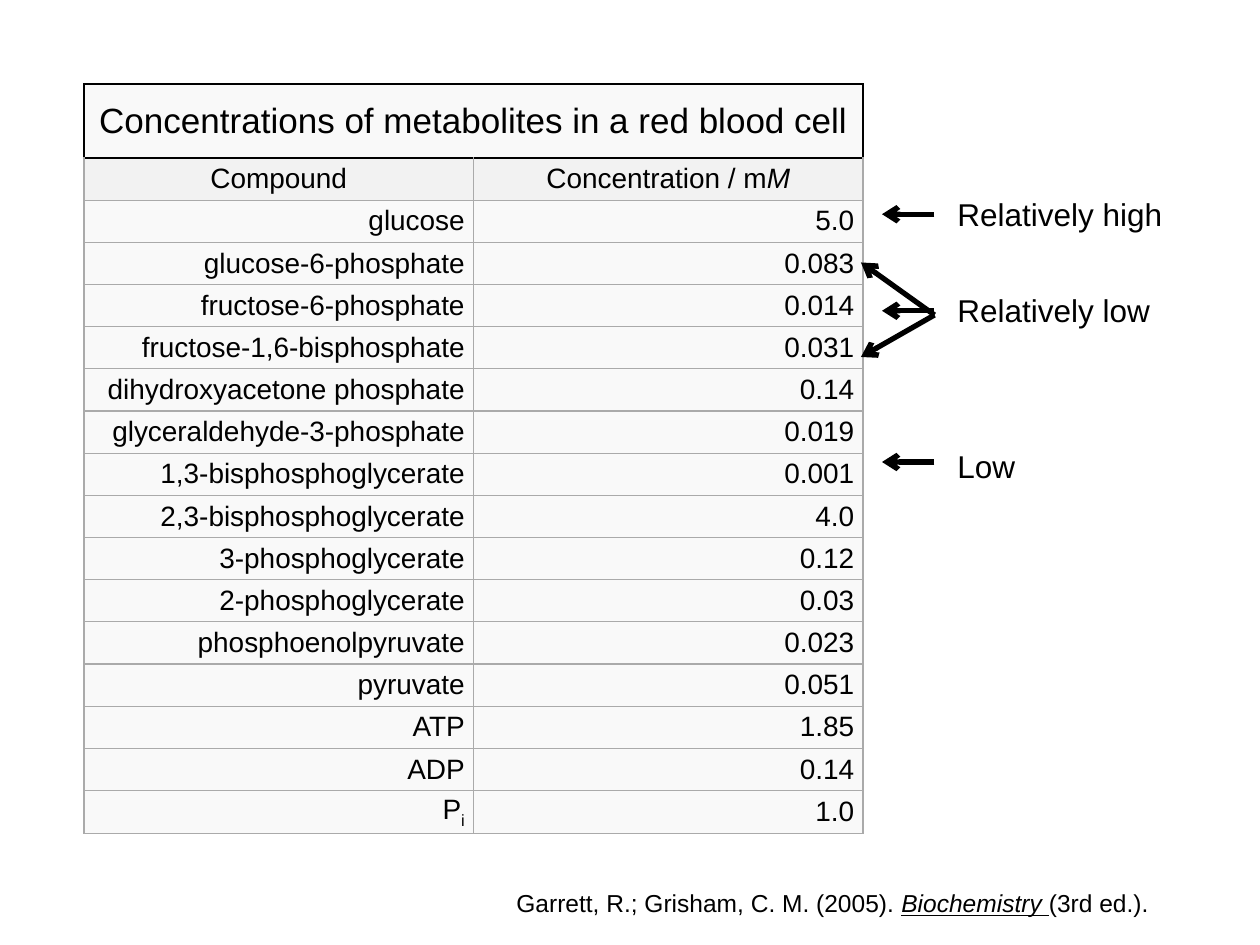
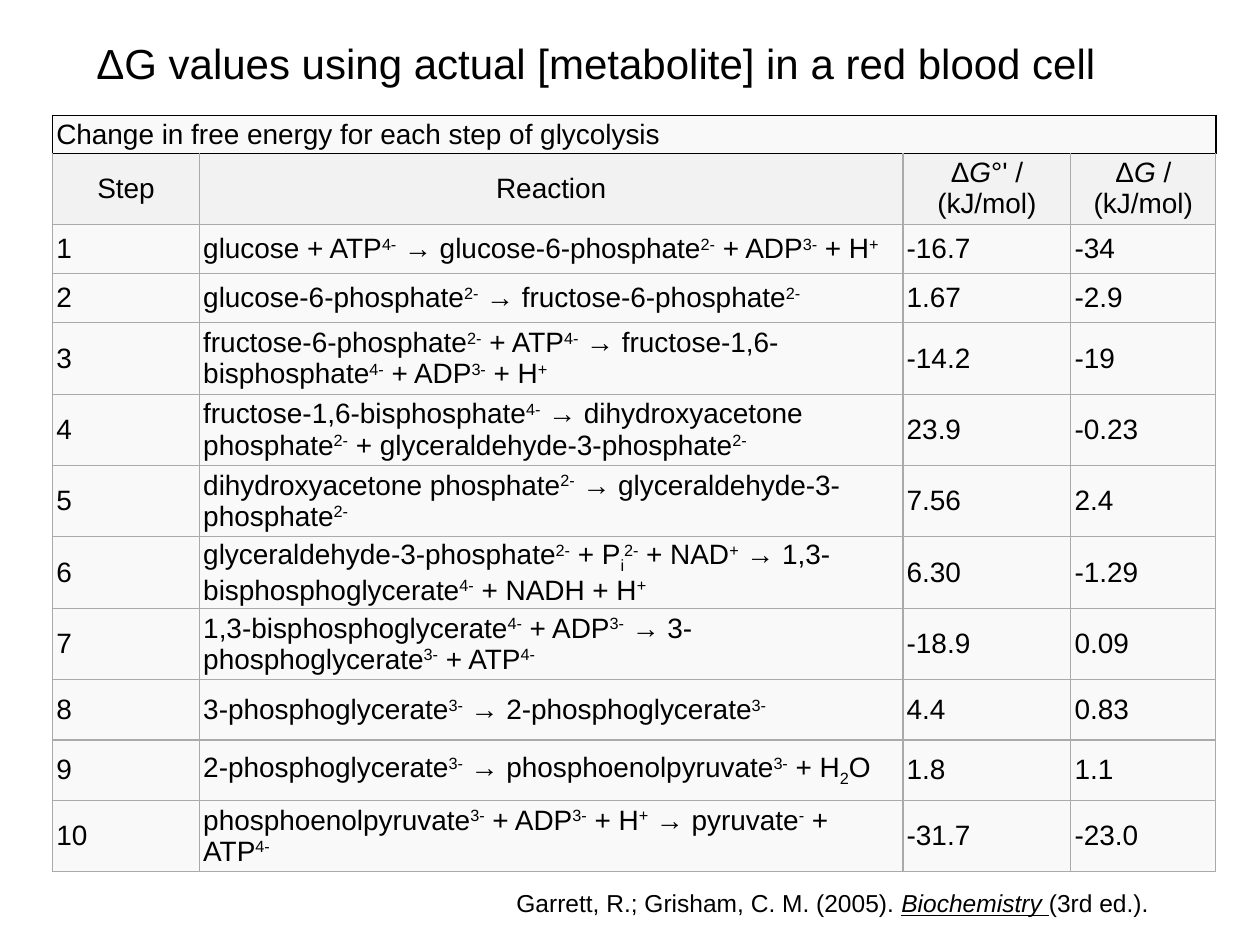
from dataclasses import dataclass
from typing import NamedTuple

from lxml import etree
from pptx import Presentation
from pptx.dml.color import RGBColor
from pptx.enum.shapes import MSO_CONNECTOR
from pptx.enum.text import MSO_ANCHOR, MSO_AUTO_SIZE, PP_ALIGN
from pptx.oxml.ns import qn
from pptx.util import Emu, Inches, Pt

LEFT, CENTER, RIGHT = PP_ALIGN.LEFT, PP_ALIGN.CENTER, PP_ALIGN.RIGHT
MIDDLE = MSO_ANCHOR.MIDDLE
GROW = MSO_AUTO_SIZE.SHAPE_TO_FIT_TEXT
STRAIGHT = MSO_CONNECTOR.STRAIGHT

WIDTH, HEIGHT = Inches(10), Inches(7.5)
COLS = 120
UNIT = WIDTH / COLS


@dataclass(frozen=True)
class Theme:
    font: str = "Arial"
    ink: str = "000000"
    rule: str = "AAAAAA"
    head: str = "F2F2F2"
    body: str = "F9F9F9"
    title: int = 24
    banner: int = 20
    label: int = 18
    cell: int = 16
    source: int = 14
    arrow: float = 3
    edge: float = 0.75
    frame: float = 1


THEME = Theme()


class Box(NamedTuple):
    left: float
    top: float
    width: float
    height: float


class Arrow(NamedTuple):
    start: tuple[float, float]
    end: tuple[float, float]


class Label(NamedTuple):
    text: str
    top: float


class Grid(NamedTuple):
    left: float
    top: float
    cols: list[float]
    rows: list[float]
    banner: str
    size: int
    heads: list[str]
    data: list[tuple[str, ...]]
    pad: tuple[float, float]
    aligns: tuple[PP_ALIGN, PP_ALIGN]


SOURCE = "Garrett, R.; Grisham, C. M. (2005). |~Biochemistry|= |(3rd ed.)."
SOURCE_BOX = Box(48, 84, 68, 4.1)
TITLE = "ΔG values using actual [metabolite] in a red blood cell"
TITLE_BOX = Box(8, 3, 103, 6.1)

LEVELS = [
    ("glucose", "5.0"),
    ("glucose-6-phosphate", "0.083"),
    ("fructose-6-phosphate", "0.014"),
    ("fructose-1,6-bisphosphate", "0.031"),
    ("dihydroxyacetone phosphate", "0.14"),
    ("glyceraldehyde-3-phosphate", "0.019"),
    ("1,3-bisphosphoglycerate", "0.001"),
    ("2,3-bisphosphoglycerate", "4.0"),
    ("3-phosphoglycerate", "0.12"),
    ("2-phosphoglycerate", "0.03"),
    ("phosphoenolpyruvate", "0.023"),
    ("pyruvate", "0.051"),
    ("ATP", "1.85"),
    ("ADP", "0.14"),
    ("P|_i", "1.0"),
]

STEPS = [
    ("glucose + ATP|^4-| → glucose-6-phosphate|^2-| + ADP|^3-| + H|^+", "-16.7", "-34"),
    ("glucose-6-phosphate|^2-| → fructose-6-phosphate|^2-", "1.67", "-2.9"),
    ("fructose-6-phosphate|^2-| + ATP|^4-| → fructose-1,6-bisphosphate|^4-"
     "| + ADP|^3-| + H|^+", "-14.2", "-19"),
    ("fructose-1,6-bisphosphate|^4-| → dihydroxyacetone phosphate|^2-"
     "| + glyceraldehyde-3-phosphate|^2-", "23.9", "-0.23"),
    ("dihydroxyacetone phosphate|^2-| → glyceraldehyde-3-phosphate|^2-", "7.56", "2.4"),
    ("glyceraldehyde-3-phosphate|^2-| + P|_i|^2-| + NAD|^+"
     "| → 1,3-bisphosphoglycerate|^4-| + NADH + H|^+", "6.30", "-1.29"),
    ("1,3-bisphosphoglycerate|^4-| + ADP|^3-| → 3-phosphoglycerate|^3-| + ATP|^4-",
     "-18.9", "0.09"),
    ("3-phosphoglycerate|^3-| → 2-phosphoglycerate|^3-", "4.4", "0.83"),
    ("2-phosphoglycerate|^3-| → phosphoenolpyruvate|^3-| + H|_2|O", "1.8", "1.1"),
    ("phosphoenolpyruvate|^3-| + ADP|^3-| + H|^+| → pyruvate|^-| + ATP|^4-",
     "-31.7", "-23.0"),
]

LEVEL_GRID = Grid(
    8, 8, [37.1] * 2, [7.05] + [4.02] * (len(LEVELS) + 1),
    "Concentrations of metabolites in a red blood cell", THEME.banner,
    ["Compound", "Concentration / m|/M"], LEVELS, (0.07, 0.03), (CENTER, RIGHT),
)
STEP_GRID = Grid(
    5, 11, [14, 67, 16, 13.8],
    [3.6, 6.75, 4.7, 4.7] + [6.8] * 5 + [5.75] * 2 + [6.8],
    "Change in free energy for each step of glycolysis", THEME.cell,
    ["Step", "Reaction", "Δ|/G|°' / (kJ/mol)", "Δ|/G| / (kJ/mol)"],
    [(str(step), *row) for step, row in enumerate(STEPS, 1)],
    (0.03, 0.01), (LEFT, LEFT),
)

LABELS = [
    Label("Relatively high", 18),
    Label("Relatively low", 27.1),
    Label("Low", 42),
]
ARROW_X, TIP_X, FAR_X = 89, 84, 82
ARROWS = [Arrow((ARROW_X, y), (TIP_X, y)) for y in (20.4, 29.6, 44)]
ARROWS += [Arrow((ARROW_X, 30), (FAR_X, y)) for y in (25, 34)]


def span(units: float) -> Emu:
    return Emu(round(units * UNIT))


def color(code: str) -> RGBColor:
    return RGBColor.from_string(code)


def write(frame, text: str, size: int, align: PP_ALIGN = LEFT) -> None:
    para = frame.paragraphs[0]
    para.alignment = align
    para.font.name = THEME.font
    para.font.size = Pt(size)
    para.font.color.rgb = color(THEME.ink)
    for part in text.split("|"):
        mark = part[0] if part[0] in "^_/~=" else ""
        run = para.add_run()
        run.text = part[len(mark):]
        if mark in ("^", "_"):
            base = "30000" if mark == "^" else "-25000"
            run.font._element.set("baseline", base)
        if mark in ("/", "~"):
            run.font.italic = True
        if mark in ("~", "="):
            run.font.underline = True


def add_text(slide, box: Box, text: str, size: int) -> None:
    frame = slide.shapes.add_textbox(*map(span, box)).text_frame
    frame.word_wrap = True
    frame.auto_size = GROW
    write(frame, text, size)


def add_arrow(slide, arrow: Arrow) -> None:
    ends = map(span, arrow.start + arrow.end)
    line = slide.shapes.add_connector(STRAIGHT, *ends)
    line.line.color.rgb = color(THEME.ink)
    line.line.width = Pt(THEME.arrow)
    etree.SubElement(line.line._get_or_add_ln(), qn("a:tailEnd"), type="arrow")
    etree.SubElement(line._element.spPr, qn("a:effectLst"))


def add_edges(cell, row: int) -> None:
    props = cell._tc.get_or_add_tcPr()
    for side in "LRTB":
        dark = row == 0 or (row == 1 and side == "T")
        width = THEME.frame if dark else THEME.edge
        edge = etree.SubElement(props, qn(f"a:ln{side}"), w=str(Pt(width)))
        fill = etree.SubElement(edge, qn("a:solidFill"))
        etree.SubElement(fill, qn("a:srgbClr"), val=THEME.ink if dark else THEME.rule)


def add_grid(slide, grid: Grid) -> None:
    box = Box(grid.left, grid.top, sum(grid.cols), sum(grid.rows))
    shape = slide.shapes.add_table(len(grid.rows), len(grid.cols), *map(span, box))
    table = shape.table
    table.first_row = table.horz_banding = False
    for col, width in zip(table.columns, grid.cols):
        col.width = span(width)
    for row, height in zip(table.rows, grid.rows):
        row.height = span(height)
    table.cell(0, 0).merge(table.cell(0, len(grid.cols) - 1))
    texts = [(grid.banner,), grid.heads, *grid.data]
    side, end = map(Inches, grid.pad)
    for r, row in enumerate(table.rows):
        for c, cell in enumerate(row.cells):
            add_edges(cell, r)
            cell.fill.solid()
            cell.fill.fore_color.rgb = color(THEME.head if r == 1 else THEME.body)
            cell.vertical_anchor = MIDDLE
            cell.margin_left = cell.margin_right = side
            cell.margin_top = cell.margin_bottom = end
            if c < len(texts[r]):
                size = grid.size if r == 0 else THEME.cell
                align = (grid.aligns[0], CENTER, grid.aligns[1])[min(r, 2)]
                write(cell.text_frame, texts[r][c], size, align)


def add_page(deck, grid: Grid):
    slide = deck.slides.add_slide(deck.slide_layouts[6])
    add_grid(slide, grid)
    add_text(slide, SOURCE_BOX, SOURCE, THEME.source)
    return slide


def main() -> None:
    deck = Presentation()
    deck.slide_width, deck.slide_height = WIDTH, HEIGHT
    levels = add_page(deck, LEVEL_GRID)
    for label in LABELS:
        add_text(levels, Box(90, label.top, 24, 4.8), label.text, THEME.label)
    for arrow in ARROWS:
        add_arrow(levels, arrow)
    steps = add_page(deck, STEP_GRID)
    add_text(steps, TITLE_BOX, TITLE, THEME.title)
    deck.save("out.pptx")


if __name__ == "__main__":
    main()
